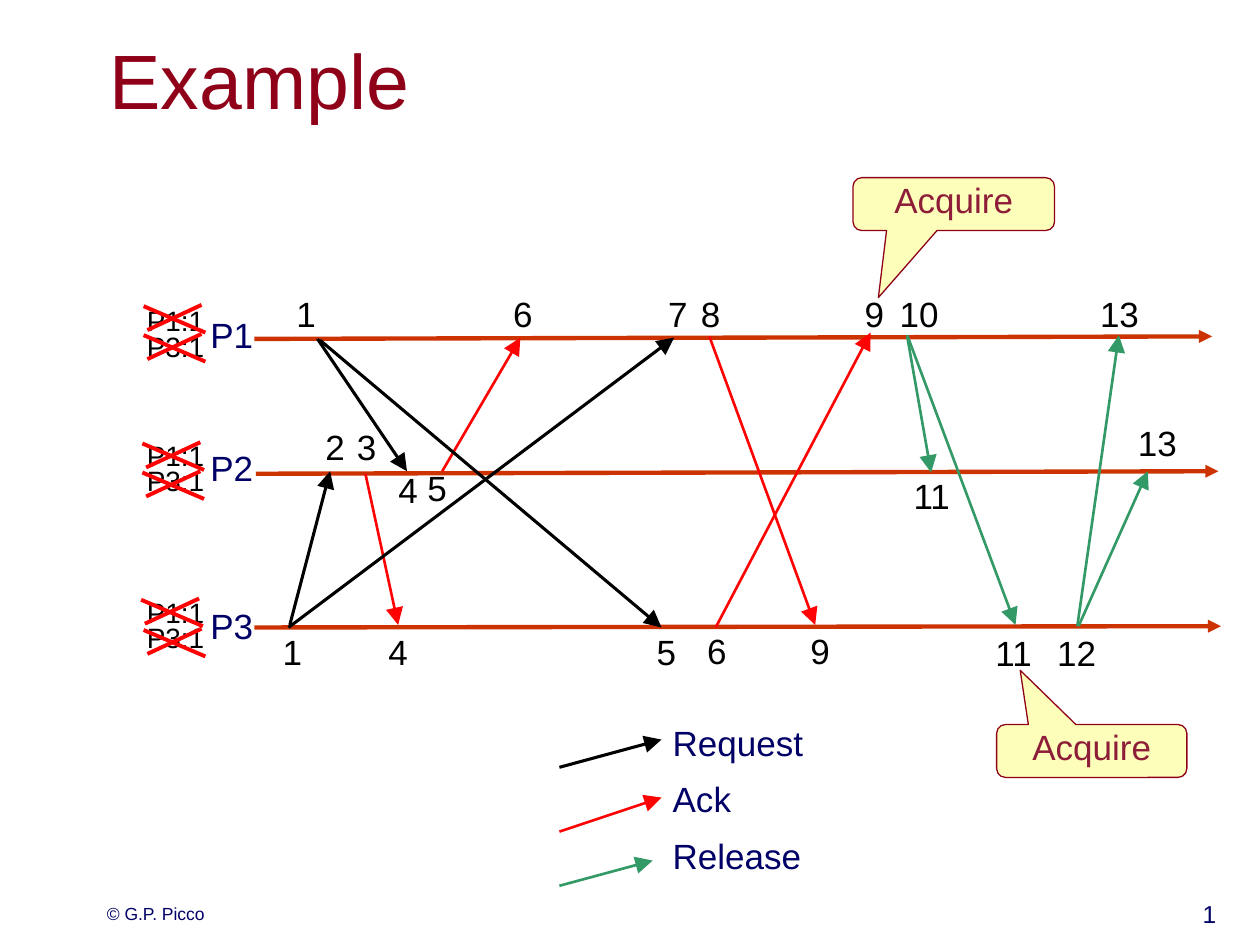
from lxml.etree import SubElement
from pptx import Presentation
from pptx.dml.color import RGBColor
from pptx.enum.shapes import MSO_CONNECTOR, MSO_SHAPE
from pptx.enum.text import MSO_ANCHOR, MSO_AUTO_SIZE, PP_ALIGN
from pptx.oxml.ns import qn
from pptx.util import Inches, Pt

FONT = "Arial"
NAVY = RGBColor(0x00, 0x00, 0x66)
MAROON = RGBColor(0x8F, 0x01, 0x19)
WINE = RGBColor(0x8E, 0x1D, 0x3A)
CREAM = RGBColor(0xFC, 0xFE, 0xB9)
RUST = RGBColor(0xCC, 0x33, 0x00)
BLACK = RGBColor(0x00, 0x00, 0x00)
RED = RGBColor(0xFD, 0x03, 0x03)
GREEN = RGBColor(0x33, 0x99, 0x66)

REQUEST = (BLACK, 1.75, "lg")
ACK = (RED, 1.5, "lg")
RELEASE = (GREEN, 1.5, "lg")
AXIS = (RUST, 2.5, "med")
CROSS = (RED, 2.25, None)

AXES = [
    (2.02, 2.69, 9.62, 2.67),
    (2.03, 3.76, 9.67, 3.74),
    (2.02, 4.98, 9.69, 4.97),
]
PROCESSES = [("P1", 2.5), ("P2", 3.56), ("P3", 4.81)]
MESSAGES = [
    (ACK, [
        (5.68, 4.98, 6.91, 2.64),
        (5.63, 2.67, 6.47, 4.96),
        (3.51, 3.74, 4.13, 2.68),
        (2.9, 3.76, 3.16, 4.96),
    ]),
    (REQUEST, [
        (2.52, 2.69, 3.23, 3.74),
        (2.54, 2.7, 5.25, 4.98),
        (2.3, 4.96, 2.62, 3.74),
        (2.29, 4.98, 5.35, 2.68),
    ]),
    (RELEASE, [
        (7.2, 2.67, 7.39, 3.75),
        (7.2, 2.66, 8.06, 4.96),
        (8.56, 4.97, 9.11, 3.74),
        (8.55, 4.97, 8.88, 2.66),
    ]),
]
CLOCKS = [
    ("1", 2.25, 2.34), ("6", 3.97, 2.34), ("7", 5.2, 2.34),
    ("8", 5.46, 2.34), ("9", 6.76, 2.34), ("10", 7.04, 2.34),
    ("13", 8.63, 2.34),
    ("2", 2.48, 3.39), ("3", 2.73, 3.39), ("4", 3.06, 3.73),
    ("5", 3.29, 3.72), ("11", 7.14, 3.78), ("13", 8.93, 3.36),
    ("1", 2.14, 5.02), ("4", 2.98, 5.02), ("5", 5.11, 5.02),
    ("6", 5.51, 5.01), ("9", 6.33, 5.01), ("11", 7.79, 5.03),
    ("12", 8.29, 5.03),
]
QUEUE = [
    ("P1:1", 2.41, 1.14, 2.43), ("P3:1", 2.62, 1.14, 2.66),
    ("P1:1", 3.48, 1.13, 3.52), ("P3:1", 3.68, 1.13, 3.75),
    ("P1:1", 4.73, 1.12, 4.76), ("P3:1", 4.93, 1.14, 5.0),
]
LEGEND = [
    ("Request", 5.74, REQUEST, (4.44, 6.09, 5.25, 5.87)),
    ("Ack", 6.19, ACK, (4.44, 6.6, 5.25, 6.33)),
    ("Release", 6.64, RELEASE, (4.44, 7.03, 5.18, 6.83)),
]
CALLOUTS = [
    (6.77, 1.41, 1.6, (-0.374, 1.767, 0.167)),
    (7.91, 5.75, 1.51, (-0.376, -1.525, 0.167)),
]


def set_text(tf, text, size, color, align, spacing=0.8):
    tf.text = text
    p = tf.paragraphs[0]
    p.alignment = align
    p.line_spacing = spacing
    r = p.runs[0]
    r.font.name = FONT
    r.font.size = Pt(size)
    r.font.color.rgb = color


def add_title(s, text):
    sp = s.shapes.title
    sp.left, sp.top = Inches(0.77), Inches(0.28)
    sp.width, sp.height = Inches(8.48), Inches(0.83)
    sp.text_frame.vertical_anchor = MSO_ANCHOR.MIDDLE
    set_text(sp.text_frame, text, 44, MAROON, PP_ALIGN.LEFT)


def add_label(s, text, x, y, w, color=BLACK, size=20, h=0.37, align=PP_ALIGN.CENTER):
    sp = s.shapes.add_textbox(Inches(x), Inches(y), Inches(w), Inches(h))
    tf = sp.text_frame
    tf.word_wrap = False
    tf.auto_size = MSO_AUTO_SIZE.SHAPE_TO_FIT_TEXT
    set_text(tf, text, size, color, align)


def add_wide_text(s, text, x, y, w, h, size, align, anchor, spacing):
    sp = s.shapes.add_textbox(Inches(x), Inches(y), Inches(w), Inches(h))
    tf = sp.text_frame
    tf.word_wrap = True
    tf.vertical_anchor = anchor
    set_text(tf, text, size, NAVY, align, spacing)


def add_footer(s, text, x, w, size, align):
    add_wide_text(s, text, x, 7, w, 0.5, size, align, MSO_ANCHOR.MIDDLE, 1.0)


def add_legend_entry(s, text, y, style, ends):
    add_line(s, ends, style)
    add_wide_text(s, text, 5.24, y, 1.4, 0.37, 20, PP_ALIGN.LEFT, MSO_ANCHOR.TOP, 0.8)


def add_line(s, ends, style):
    color, width, head = style
    sp = s.shapes.add_connector(MSO_CONNECTOR.STRAIGHT, *[Inches(v) for v in ends])
    sp.line.color.rgb = color
    sp.line.width = Pt(width)
    if head:
        ln = sp._element.spPr.find(qn("a:ln"))
        SubElement(ln, qn("a:tailEnd"), type="triangle", w=head, len=head)
    SubElement(sp._element.spPr, qn("a:effectLst"))


def add_cross(s, x, y):
    add_line(s, (x, y, x + 0.49, y + 0.21), CROSS)
    add_line(s, (x + 0.03, y + 0.19, x + 0.46, y - 0.01), CROSS)


def add_callout(s, text, x, y, w, adjustments):
    sp = s.shapes.add_shape(MSO_SHAPE.ROUNDED_RECTANGULAR_CALLOUT,
                            Inches(x), Inches(y), Inches(w), Inches(0.42))
    sp.shadow.inherit = False
    for i, value in enumerate(adjustments):
        sp.adjustments[i] = value
    sp.fill.solid()
    sp.fill.fore_color.rgb = CREAM
    sp.line.color.rgb = MAROON
    sp.line.width = Pt(0.75)
    sp.text_frame.vertical_anchor = MSO_ANCHOR.TOP
    set_text(sp.text_frame, text, 20, WINE, PP_ALIGN.CENTER)


def main():
    prs = Presentation()
    prs.slide_width, prs.slide_height = Inches(10), Inches(7.5)
    s = prs.slides.add_slide(prs.slide_layouts[5])

    add_title(s, "Example")
    add_footer(s, "© G.P. Picco", 0.75, 3.17, 10, PP_ALIGN.LEFT)
    add_footer(s, "1", 7.67, 2.08, 14, PP_ALIGN.RIGHT)

    for ends in AXES:
        add_line(s, ends, AXIS)
    for text, y in PROCESSES:
        add_label(s, text, 1.57, y, 0.54, NAVY)
    for style, arrows in MESSAGES:
        for ends in arrows:
            add_line(s, ends, style)
    for text, x, y in CLOCKS:
        add_label(s, text, x, y, 0.36 if len(text) == 1 else 0.51)
    for text, y, cross_x, cross_y in QUEUE:
        add_label(s, text, 1.06, y, 0.66, size=16, h=0.31, align=PP_ALIGN.RIGHT)
        add_cross(s, cross_x, cross_y)
    for entry in LEGEND:
        add_legend_entry(s, *entry)
    for x, y, w, adjustments in CALLOUTS:
        add_callout(s, "Acquire", x, y, w, adjustments)

    prs.save("out.pptx")


main()
